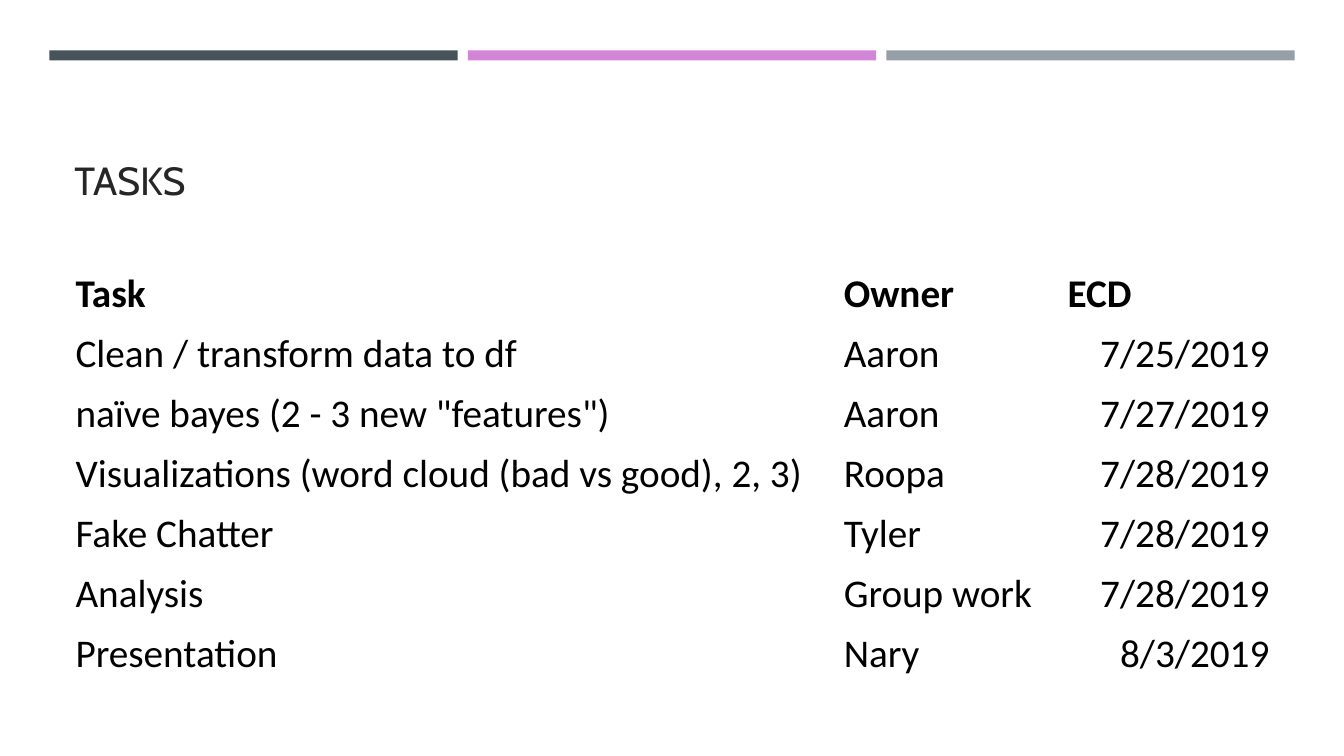
from pptx import Presentation
from pptx.dml.color import RGBColor
from pptx.enum.shapes import MSO_SHAPE
from pptx.enum.text import MSO_ANCHOR, PP_ALIGN
from pptx.util import Inches, Pt

RECTANGLE = MSO_SHAPE.RECTANGLE
BOTTOM = MSO_ANCHOR.BOTTOM
LEFT, RIGHT = PP_ALIGN.LEFT, PP_ALIGN.RIGHT

SLIDE_WIDTH, SLIDE_HEIGHT = 13.33, 7.5
GRID_COLUMNS, GRID_ROWS = 133.3, 75

BAR_COLORS = ["465359", "D285D7", "969FA7"]
TASKS = [
    ("Task", "Owner", "ECD"),
    ("Clean / transform data to df", "Aaron", "7/25/2019"),
    ('naïve bayes (2 - 3 new "features")', "Aaron", "7/27/2019"),
    ("Visualizations (word cloud (bad vs good), 2, 3)", "Roopa", "7/28/2019"),
    ("Fake Chatter", "Tyler", "7/28/2019"),
    ("Analysis", "Group work", "7/28/2019"),
    ("Presentation", "Nary", "8/3/2019"),
]


def color(value):
    return RGBColor.from_string(value)


def columns(count):
    return Inches(count * SLIDE_WIDTH / GRID_COLUMNS)


def rows(count):
    return Inches(count * SLIDE_HEIGHT / GRID_ROWS)


def write(text_frame, text, font="Calibri", size=28, fill="000000", bold=False, align=LEFT):
    paragraph = text_frame.paragraphs[0]
    paragraph.alignment = align
    run = paragraph.add_run()
    run.text = text
    run.font.name = font
    run.font.size = Pt(size)
    run.font.bold = bold
    run.font.color.rgb = color(fill)


class SlideBuilder:
    title_style = {"font": "Cabin", "fill": "262626"}
    cell_margin = Inches(0.02)

    def __init__(self, slide):
        self.slide = slide

    def bar(self, left, top, width, height, fill):
        shape = self.slide.shapes.add_shape(
            RECTANGLE, columns(left), rows(top), columns(width), rows(height)
        )
        shape.shadow.inherit = False
        shape.fill.solid()
        shape.fill.fore_color.rgb = color(fill)
        shape.line.fill.background()

    def title(self, text, left, top, width, height):
        shape = self.slide.shapes.add_textbox(
            columns(left), rows(top), columns(width), rows(height)
        )
        shape.text_frame.word_wrap = True
        shape.text_frame.vertical_anchor = BOTTOM
        write(shape.text_frame, text, **self.title_style)

    def table(self, records, left, top, widths, height):
        table = self.slide.shapes.add_table(
            len(records), len(widths), columns(left), rows(top),
            columns(sum(widths)), rows(height)
        ).table
        table.first_row = False
        table.horz_banding = False
        for column, width in zip(table.columns, widths):
            column.width = columns(width)
        for row_index, record in enumerate(records):
            header = row_index == 0
            for column_index, text in enumerate(record):
                date = column_index == len(record) - 1 and not header
                self.cell(table.cell(row_index, column_index), text,
                          bold=header, align=RIGHT if date else LEFT)

    def cell(self, cell, text, **text_format):
        cell.fill.background()
        cell.vertical_anchor = BOTTOM
        cell.margin_left = cell.margin_right = cell.margin_top = self.cell_margin
        cell.margin_bottom = 0
        write(cell.text_frame, text, **text_format)


def main():
    presentation = Presentation()
    presentation.slide_width = Inches(SLIDE_WIDTH)
    presentation.slide_height = Inches(SLIDE_HEIGHT)
    slide = presentation.slides.add_slide(presentation.slide_layouts[6])
    builder = SlideBuilder(slide)
    for index, fill in enumerate(BAR_COLORS):
        builder.bar(4.9 + 41.5 * index, 5, 40.5, 1, fill)
    builder.title("TASKS", 6.4, 7.7, 120.6, 13)
    builder.table(TASKS, 7.3, 25.6, [76.2, 22.2, 20.4], 41.7)
    presentation.save("out.pptx")


if __name__ == "__main__":
    main()
